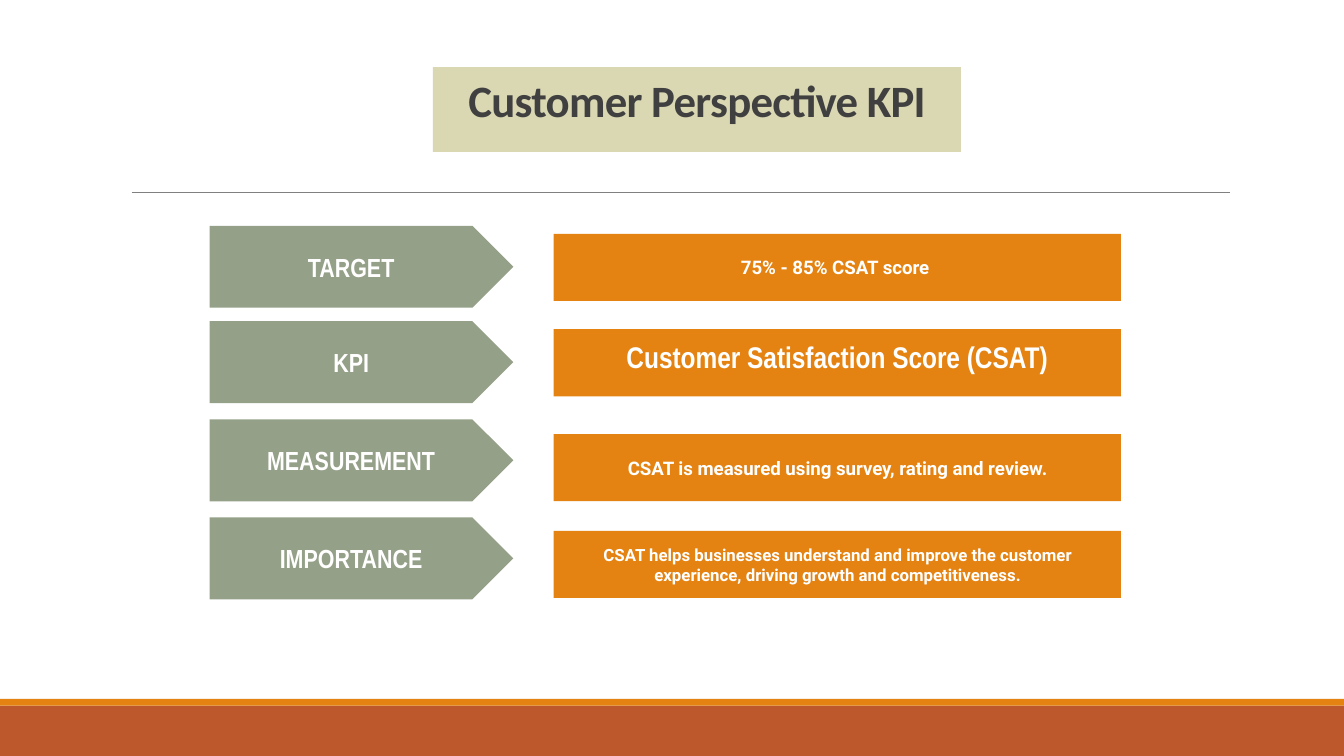
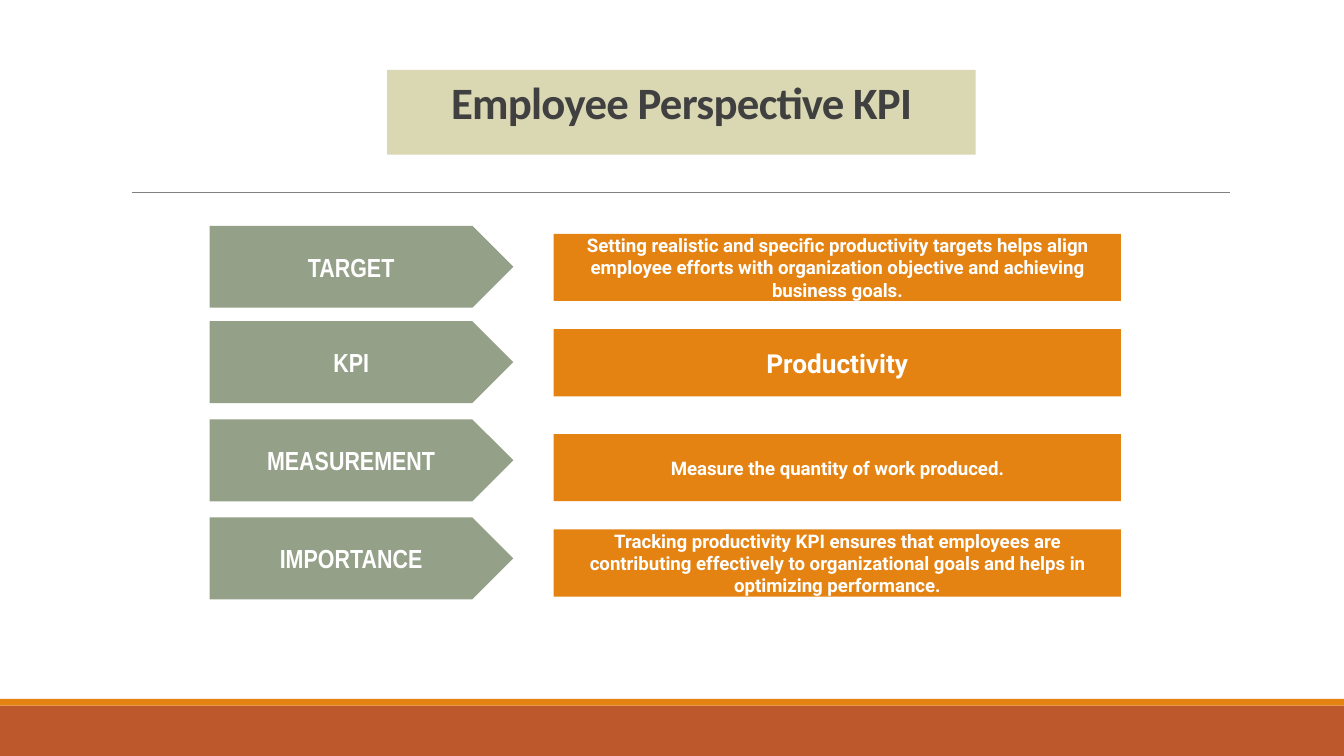
from lxml import etree
from pptx import Presentation
from pptx.dml.color import RGBColor
from pptx.enum.shapes import MSO_CONNECTOR, MSO_SHAPE
from pptx.enum.text import MSO_ANCHOR, MSO_AUTO_SIZE, PP_ALIGN
from pptx.oxml.ns import qn
from pptx.util import Inches, Pt

RECTANGLE = MSO_SHAPE.RECTANGLE
PENTAGON = MSO_SHAPE.PENTAGON
STRAIGHT = MSO_CONNECTOR.STRAIGHT
TOP = MSO_ANCHOR.TOP
MIDDLE = MSO_ANCHOR.MIDDLE
CENTER = PP_ALIGN.CENTER
NO_FIT = MSO_AUTO_SIZE.NONE

COLORS = {
    "title_fill": "DAD7B3",
    "title_text": "404040",
    "label": "94A088",
    "accent": "E48312",
    "footer": "BD582C",
    "rule": "808080",
    "white": "FFFFFF",
}
TITLE_FONT = "Calibri"
LABEL_FONT = "Arial Narrow"
BODY_FONT = "Roboto"

SLIDE_WIDTH = 10
SLIDE_HEIGHT = SLIDE_WIDTH * 9 / 16
FOOTER_TOP, STRIPE_HEIGHT = 5.25, 0.05
LABEL_LEFT, LABEL_WIDTH, LABEL_HEIGHT = 1.56, 2.26, 0.61
DETAIL_LEFT, DETAIL_WIDTH, DETAIL_HEIGHT = 4.12, 4.22, 0.5
LABELS = [("TARGET", 1.68), ("KPI", 2.39), ("MEASUREMENT", 3.12), ("IMPORTANCE", 3.85)]

SLIDES = [
    {
        "title": "Customer Perspective KPI",
        "title_box": (3.22, 0.5, 3.93, 0.63),
        "details": [
            ("75% - 85% CSAT score ", 1.74, BODY_FONT, 10, 0),
            ("Customer Satisfaction Score (CSAT)", 2.45, LABEL_FONT, 16, 0.1),
            ("CSAT is measured using survey, rating and review.", 3.23, BODY_FONT, 10, 0),
            ("CSAT helps businesses understand and improve the customer experience, "
             "driving growth and competitiveness.", 3.95, BODY_FONT, 9, 0),
        ],
    },
    {
        "title": "Employee Perspective KPI",
        "title_box": (2.88, 0.52, 4.38, 0.63),
        "details": [
            ("Setting realistic and specific productivity targets helps align employee "
             "efforts with organization objective and achieving business goals.",
             1.74, BODY_FONT, 10, 0),
            ("Productivity", 2.45, BODY_FONT, 14, 0),
            ("Measure the quantity of work produced.", 3.23, BODY_FONT, 10, 0),
            ("Tracking productivity KPI ensures that employees are contributing effectively "
             "to organizational goals and helps in optimizing performance.",
             3.94, BODY_FONT, 10, 0),
        ],
    },
]


def color(name):
    return RGBColor.from_string(COLORS[name])


def fill_shape(shape, fill):
    shape.fill.solid()
    shape.fill.fore_color.rgb = color(fill)


def add_block(slide, kind, box, fill):
    shape = slide.shapes.add_shape(kind, *map(Inches, box))
    shape.shadow.inherit = False
    fill_shape(shape, fill)
    shape.line.fill.background()
    return shape


def write_text(shape, text, font_name, size, text_color, anchor=MIDDLE, insets=(0.1, 0.1)):
    frame = shape.text_frame
    frame.word_wrap = True
    frame.auto_size = NO_FIT
    frame.vertical_anchor = anchor
    frame.margin_left = frame.margin_right = Inches(0.1)
    frame.margin_top, frame.margin_bottom = map(Inches, insets)
    paragraph = frame.paragraphs[0]
    paragraph.alignment = CENTER
    run = paragraph.add_run()
    run.text = text
    run.font.name = font_name
    run.font.size = Pt(size)
    run.font.bold = True
    run.font.color.rgb = color(text_color)
    return paragraph, run


def add_frame(slide):
    add_block(slide, RECTANGLE,
              (0, FOOTER_TOP, SLIDE_WIDTH, SLIDE_HEIGHT - FOOTER_TOP), "footer")
    add_block(slide, RECTANGLE,
              (0, FOOTER_TOP - STRIPE_HEIGHT, SLIDE_WIDTH, STRIPE_HEIGHT), "accent")
    rule = slide.shapes.add_connector(
        STRAIGHT, Inches(0.98), Inches(1.43), Inches(9.15), Inches(1.43))
    rule.line.color.rgb = color("rule")
    rule.line.width = Pt(0.5)
    etree.SubElement(rule._element.spPr, qn("a:effectLst"))


def format_title(slide, text, box):
    title = slide.shapes.title
    title.left, title.top, title.width, title.height = map(Inches, box)
    fill_shape(title, "title_fill")
    paragraph, run = write_text(title, text, TITLE_FONT, 24, "title_text", TOP)
    paragraph.line_spacing = 0.85
    run._r.get_or_add_rPr().set("spc", "-40")


def add_label(slide, text, top):
    label = add_block(slide, PENTAGON, (LABEL_LEFT, top, LABEL_WIDTH, LABEL_HEIGHT), "label")
    label.adjustments[0] = 0.5
    write_text(label, text, LABEL_FONT, 14, "white")


def add_detail(slide, text, top, font_name, size, lift):
    detail = add_block(slide, RECTANGLE,
                       (DETAIL_LEFT, top, DETAIL_WIDTH, DETAIL_HEIGHT), "accent")
    write_text(detail, text, font_name, size, "white", insets=(0.1 - lift, 0.1))


def add_kpi_slide(presentation, content):
    slide = presentation.slides.add_slide(presentation.slide_layouts[5])
    add_frame(slide)
    format_title(slide, content["title"], content["title_box"])
    for label in LABELS:
        add_label(slide, *label)
    for detail in content["details"]:
        add_detail(slide, *detail)


def main():
    presentation = Presentation()
    presentation.slide_width = Inches(SLIDE_WIDTH)
    presentation.slide_height = Inches(SLIDE_HEIGHT)
    for content in SLIDES:
        add_kpi_slide(presentation, content)
    presentation.save("out.pptx")


if __name__ == "__main__":
    main()
